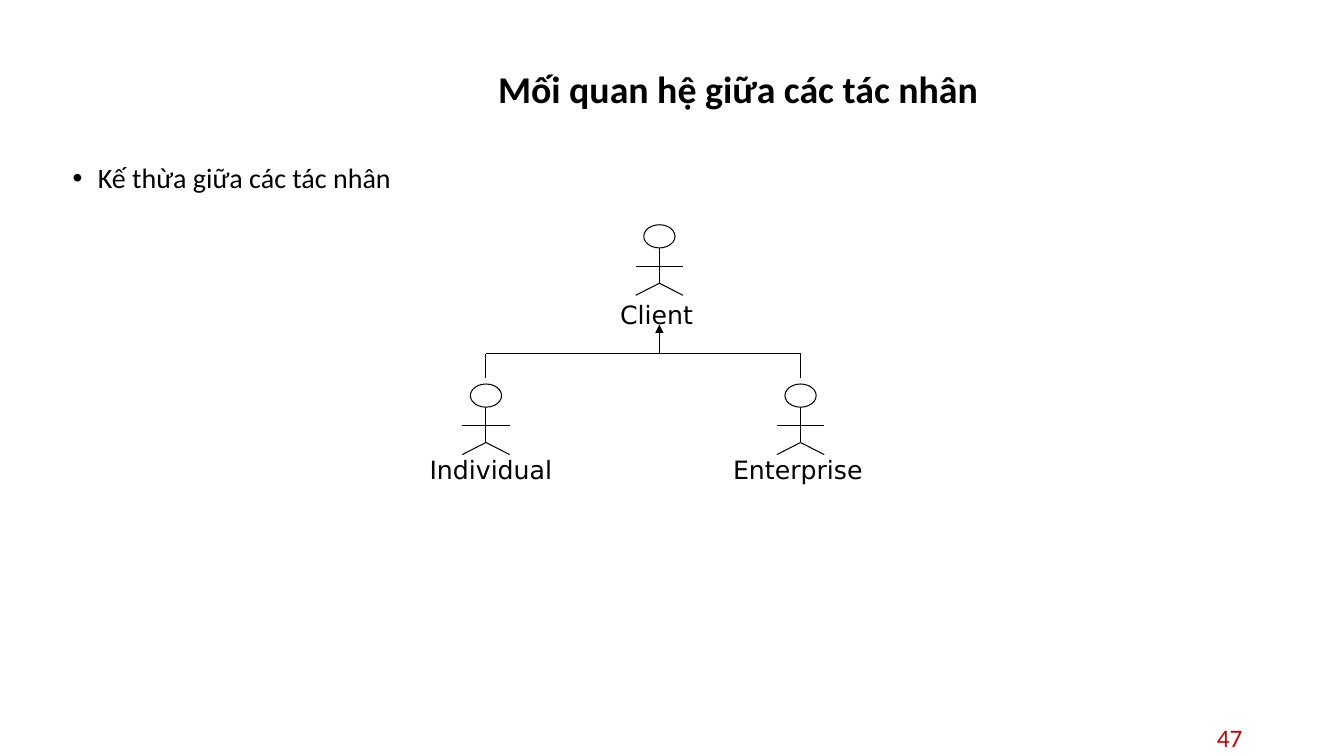
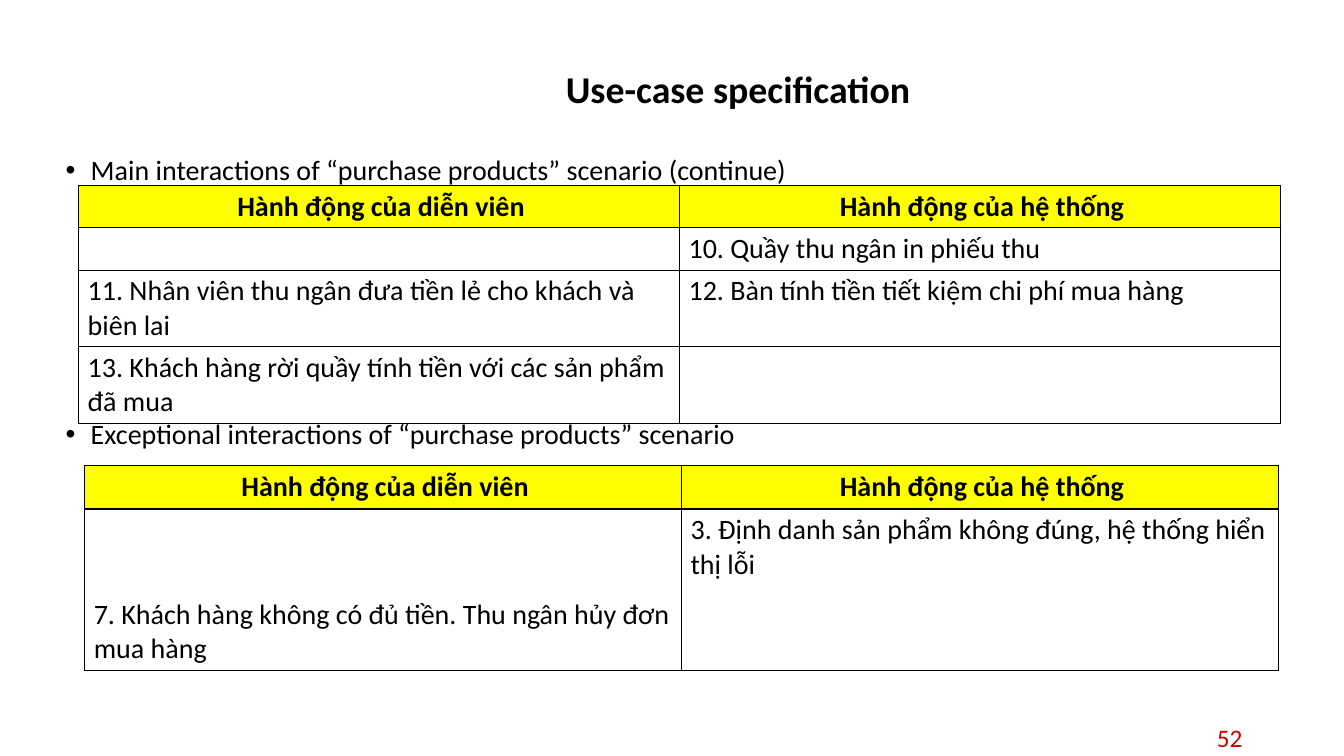
from lxml import etree
from pptx import Presentation
from pptx.dml.color import RGBColor
from pptx.enum import shapes, text
from pptx.oxml import ns
from pptx.util import Inches, Pt

COLORS = {"ink": "000000", "number": "CC0000", "header": "FFFF00"}
BODY_FONT = "Calibri"
LABEL_FONT = "DejaVu Sans"


def add_run(paragraph, words, size, color="ink", name=BODY_FONT, bold=False):
    run = paragraph.add_run()
    run.text = words
    run.font.size = Pt(size)
    run.font.name = name
    run.font.bold = bold
    run.font.color.rgb = RGBColor.from_string(COLORS[color])


def add_line(slide, x1, y1, x2, y2):
    line = slide.shapes.add_connector(
        shapes.MSO_CONNECTOR.STRAIGHT, Inches(x1), Inches(y1), Inches(x2), Inches(y2))
    line.line.color.rgb = RGBColor.from_string(COLORS["ink"])
    line.line.width = Pt(0.75)
    etree.SubElement(line._element.spPr, ns.qn("a:effectLst"))
    return line


presentation = Presentation()
presentation.slide_width = Inches(13.33)
presentation.slide_height = Inches(7.5)

# Title, body place, bullets with the space before each, slide number
pages = [
    ("Mối quan hệ giữa các tác nhân", (0.62, 1.58),
     [("Kế thừa giữa các tác nhân", 0)], "47"),
    ("Use-case specification", (0.55, 1.5),
     [("Main interactions of “purchase products” scenario (continue)", 0),
      ("Exceptional interactions of “purchase products” scenario", 167)], "52"),
]
slides = []
for heading, (left, top), bullets, number in pages:
    slide = presentation.slides.add_slide(presentation.slide_layouts[1])
    slides.append(slide)

    title = slide.shapes.title
    title.left, title.top = Inches(2.23), Inches(0.4)
    title.width, title.height = Inches(10.18), Inches(1.02)
    title.text_frame.vertical_anchor = text.MSO_ANCHOR.MIDDLE
    paragraph = title.text_frame.paragraphs[0]
    paragraph.alignment = text.PP_ALIGN.CENTER
    paragraph.line_spacing = 0.9
    add_run(paragraph, heading, 27, bold=True)

    body = slide.placeholders[1]
    body.left, body.top = Inches(left), Inches(top)
    body.width, body.height = Inches(11.8), Inches(5.17)
    for index, (words, space) in enumerate(bullets):
        frame = body.text_frame
        paragraph = frame.add_paragraph() if index else frame.paragraphs[0]
        properties = paragraph._p.get_or_add_pPr()
        properties.set("marL", str(Inches(0.25)))
        properties.set("indent", str(Inches(-0.25)))
        etree.SubElement(properties, ns.qn("a:buChar")).set("char", "•")
        paragraph.line_spacing = 0.9
        paragraph.space_before = Pt(space)
        add_run(paragraph, words, 20)

    number_box = slide.shapes.add_textbox(Inches(9.42), Inches(7.14), Inches(3), Inches(0.36))
    number_box.text_frame.word_wrap = True
    number_box.text_frame.vertical_anchor = text.MSO_ANCHOR.MIDDLE
    paragraph = number_box.text_frame.paragraphs[0]
    paragraph.alignment = text.PP_ALIGN.RIGHT
    add_run(paragraph, number, 18, "number")

actor_slide, table_slide = slides

# Actors: name, body axis, top of head, then left, top and width of the label
client_x, individual_x, enterprise_x = 6.54, 4.82, 7.94
actors = [
    ("Client", client_x, 2.23, 6.1, 2.92, 0.83),
    ("Individual", individual_x, 3.81, 4.21, 4.46, 1.35),
    ("Enterprise", enterprise_x, 3.81, 7.22, 4.46, 1.39),
]
for name, x, top, label_left, label_top, label_width in actors:
    head = actor_slide.shapes.add_shape(
        shapes.MSO_SHAPE.OVAL, Inches(x - 0.155), Inches(top), Inches(0.31), Inches(0.23))
    head.shadow.inherit = False
    head.fill.background()
    head.line.color.rgb = RGBColor.from_string(COLORS["ink"])
    head.line.width = Pt(0.75)

    hip = top + 0.58
    add_line(actor_slide, x, top + 0.23, x, hip)
    add_line(actor_slide, x - 0.235, top + 0.41, x + 0.235, top + 0.41)
    for foot in (x - 0.235, x + 0.235):
        add_line(actor_slide, x, hip, foot, hip + 0.12)

    label = actor_slide.shapes.add_textbox(
        Inches(label_left), Inches(label_top), Inches(label_width), Inches(0.4))
    frame = label.text_frame
    frame.word_wrap = False
    frame.auto_size = text.MSO_AUTO_SIZE.SHAPE_TO_FIT_TEXT
    frame.margin_left = frame.margin_right = Inches(0.05)
    add_run(frame.paragraphs[0], name, 18, name=LABEL_FONT)

# Inheritance tree
branch_y = 3.51
add_line(actor_slide, individual_x, branch_y, enterprise_x, branch_y)
for x in (individual_x, enterprise_x):
    add_line(actor_slide, x, branch_y, x, 3.75)
arrow = add_line(actor_slide, client_x, branch_y, client_x, 3.22)
etree.SubElement(arrow.line._get_or_add_ln(), ns.qn("a:tailEnd")).set("type", "triangle")

# Tables: left, top, column width, row heights, rows under the header
header = ("Hành động của diễn viên", "Hành động của hệ thống")
tables = [
    (0.84, 4.62, 5.92, (0.43, 1.6), [
        ("7. Khách hàng không có đủ tiền. Thu ngân hủy đơn mua hàng",
         "3. Định danh sản phẩm không đúng, hệ thống hiển thị lỗi"),
    ]),
    (0.78, 1.84, 5.96, (0.42, 0.42, 0.76, 0.76), [
        ("", "10. Quầy thu ngân in phiếu thu"),
        ("11. Nhân viên thu ngân đưa tiền lẻ cho khách và biên lai",
         "12. Bàn tính tiền tiết kiệm chi phí mua hàng"),
        ("13. Khách hàng rời quầy tính tiền với các sản phẩm đã mua", ""),
    ]),
]
for left, top, column_width, heights, rows in tables:
    table = table_slide.shapes.add_table(
        len(heights), 2, Inches(left), Inches(top),
        Inches(2 * column_width), Inches(sum(heights))).table
    table.horz_banding = False
    for row_index, values in enumerate([header] + rows):
        table.rows[row_index].height = Inches(heights[row_index])
        for column_index, words in enumerate(values):
            cell = table.cell(row_index, column_index)
            cell.margin_left, cell.margin_right = Inches(0.09), Inches(0.05)
            cell.margin_top = cell.margin_bottom = Inches(0.04)
            properties = cell._tc.get_or_add_tcPr()
            for side in ("lnL", "lnR", "lnT", "lnB"):
                border = etree.SubElement(properties, ns.qn("a:" + side))
                border.set("w", str(Pt(1)))
                solid = etree.SubElement(border, ns.qn("a:solidFill"))
                etree.SubElement(solid, ns.qn("a:srgbClr")).set("val", COLORS["ink"])
            paragraph = cell.text_frame.paragraphs[0]
            if row_index == 0:
                cell.fill.solid()
                cell.fill.fore_color.rgb = RGBColor.from_string(COLORS["header"])
                paragraph.alignment = text.PP_ALIGN.CENTER
            else:
                cell.fill.background()
            if words:
                add_run(paragraph, words, 20, bold=row_index == 0)
    if len(rows) == 1:
        table.cell(1, 0).vertical_anchor = text.MSO_ANCHOR.BOTTOM

presentation.save("out.pptx")
